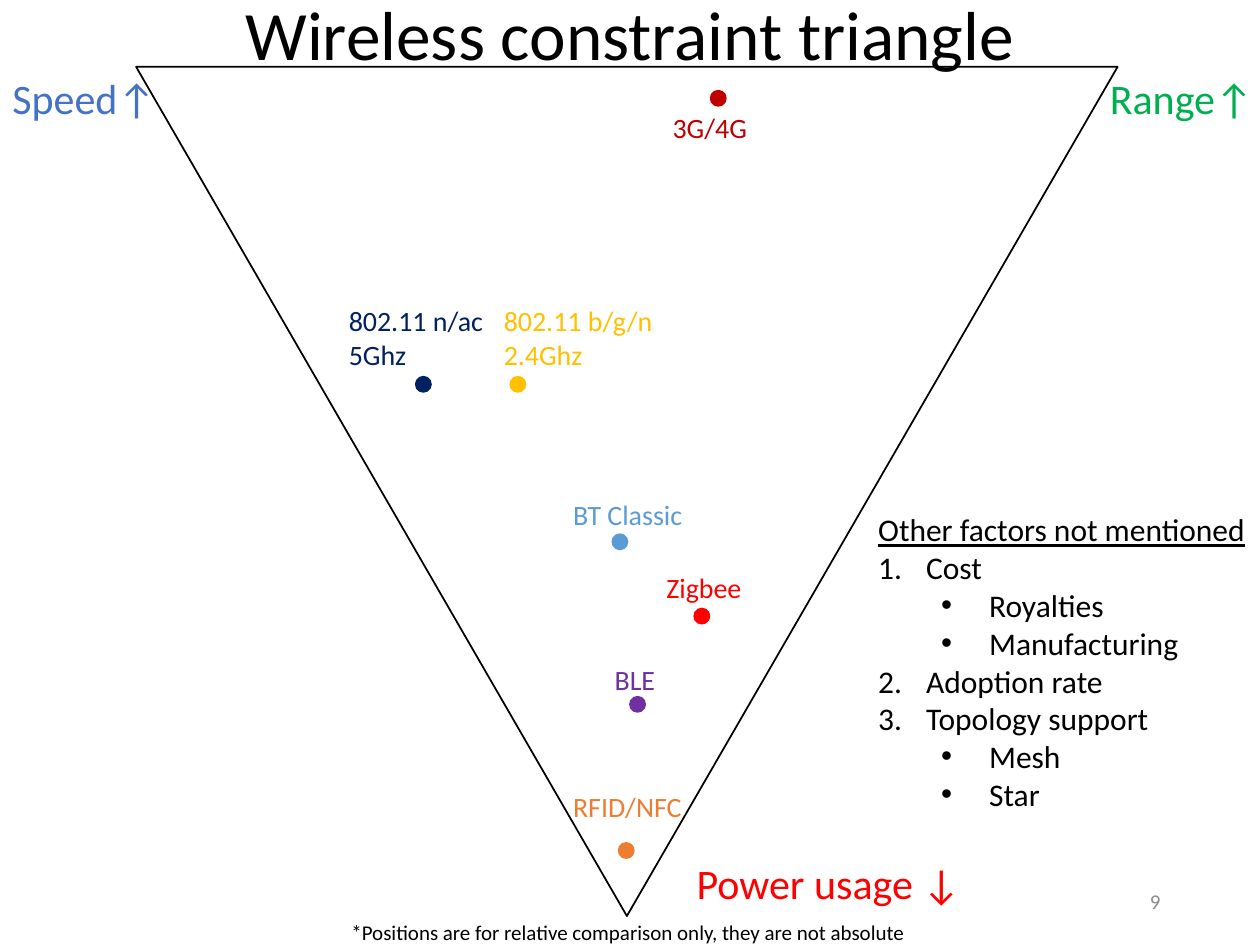
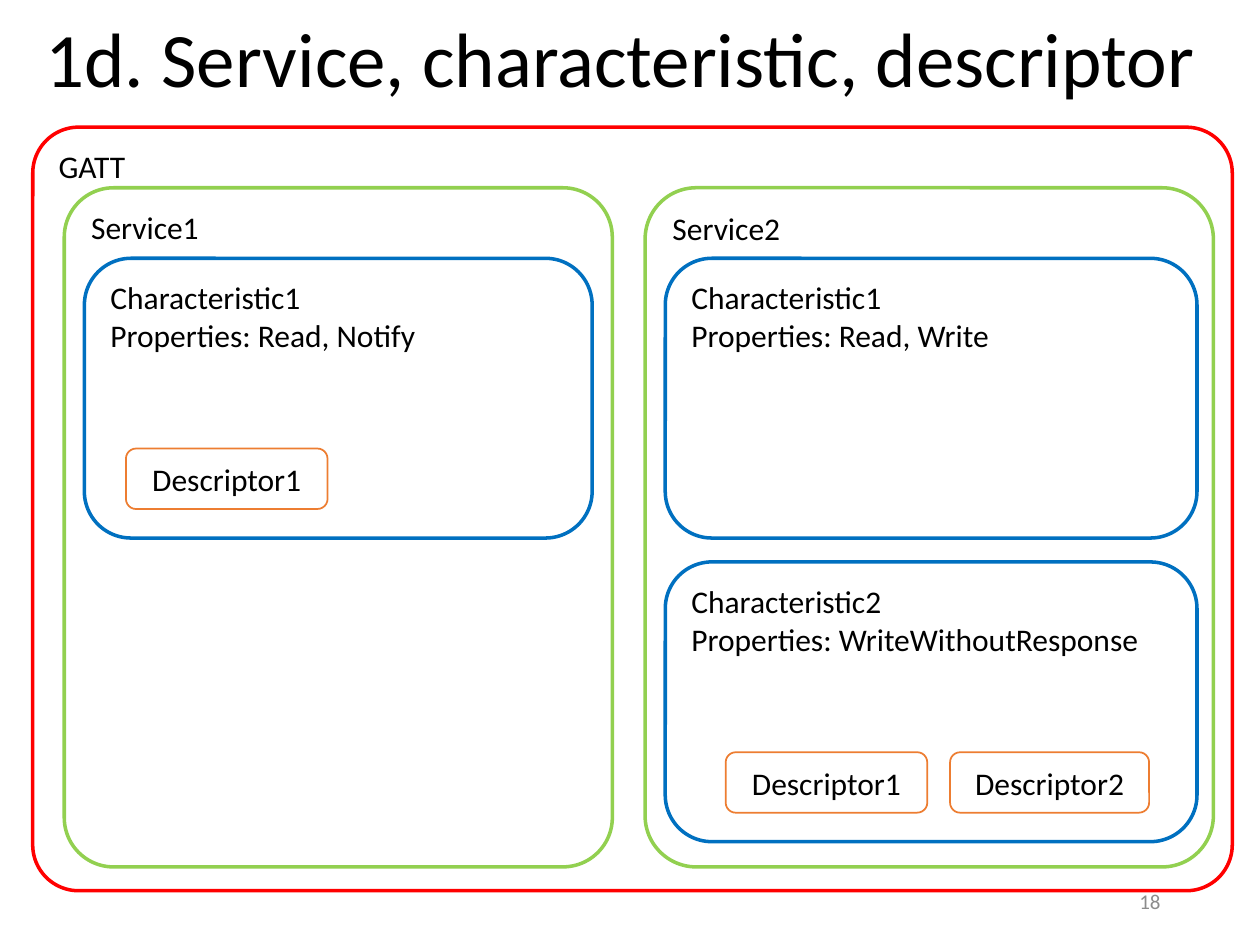
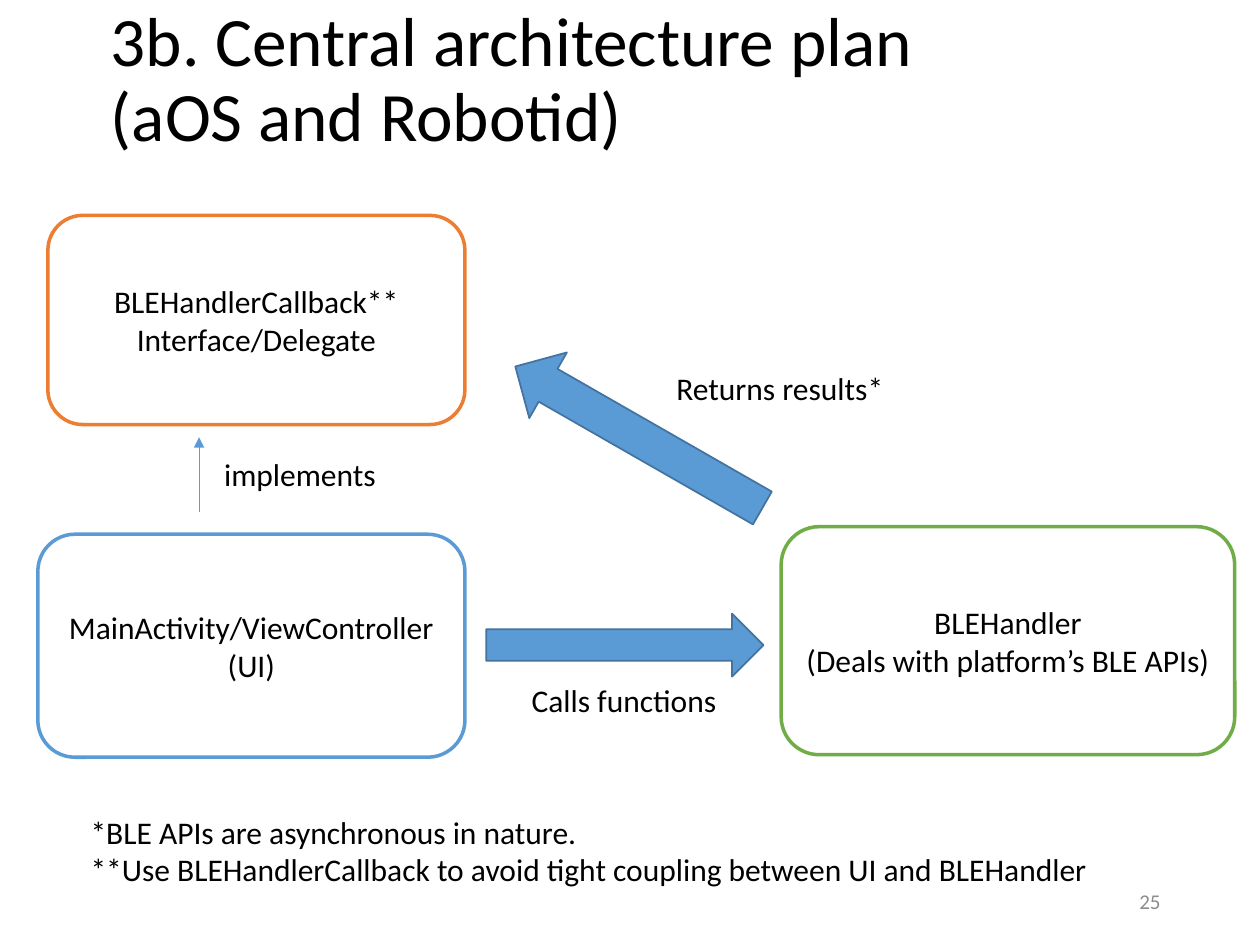
"""Build three slides on wireless trade-offs, GATT structure and a BLE app architecture."""
import lxml.etree
import pptx
import pptx.dml.color
import pptx.enum.shapes
import pptx.enum.text
import pptx.oxml
import pptx.oxml.ns
import pptx.util

RGBColor = pptx.dml.color.RGBColor
Shape = pptx.enum.shapes.MSO_SHAPE
Align = pptx.enum.text.PP_ALIGN
Anchor = pptx.enum.text.MSO_ANCHOR
AutoSize = pptx.enum.text.MSO_AUTO_SIZE
qn = pptx.oxml.ns.qn

BLACK = RGBColor(0x00, 0x00, 0x00)
WHITE = RGBColor(0xFF, 0xFF, 0xFF)
GREY = RGBColor(0x8C, 0x8C, 0x8C)
RED = RGBColor(0xFF, 0x00, 0x00)
DARK_RED = RGBColor(0xC0, 0x00, 0x00)
ORANGE = RGBColor(0xED, 0x7D, 0x31)
GOLD = RGBColor(0xFF, 0xC0, 0x00)
GREEN = RGBColor(0x00, 0xB0, 0x50)
LIME = RGBColor(0x92, 0xD0, 0x50)
LEAF = RGBColor(0x70, 0xAD, 0x47)
NAVY = RGBColor(0x00, 0x20, 0x60)
BLUE = RGBColor(0x00, 0x70, 0xC0)
INDIGO = RGBColor(0x44, 0x72, 0xC4)
SKY = RGBColor(0x5B, 0x9B, 0xD5)
STEEL = RGBColor(0x43, 0x73, 0x9E)
PURPLE = RGBColor(0x70, 0x30, 0xA0)

COLUMNS, ROWS = 100, 75
FONT = "Calibri"


def write(frame, lines, size=18, color=BLACK, align=Align.LEFT, anchor=Anchor.TOP,
          spacing=None, wrap=True, fit=AutoSize.NONE):
    """Fill a text frame with one paragraph per line."""
    frame.word_wrap = wrap
    frame.auto_size = fit
    frame.vertical_anchor = anchor
    for index, line in enumerate(lines):
        para = frame.add_paragraph() if index else frame.paragraphs[0]
        para.alignment = align
        if spacing:
            para.line_spacing = spacing
        span = para.add_run()
        span.text = line
        span.font.name = FONT
        span.font.size = pptx.util.Pt(size)
        span.font.color.rgb = color


class Deck:
    """Hold the presentation, its grid and the slide being built."""

    def __init__(self):
        """Open an empty 10 by 7.5 inch presentation."""
        self.file = pptx.Presentation()
        self.file.slide_width = pptx.util.Inches(10)
        self.file.slide_height = pptx.util.Inches(7.5)
        self.slide = None

    def place(self, left, top, width, height):
        """Turn grid columns and rows into slide lengths."""
        across = self.file.slide_width / COLUMNS
        down = self.file.slide_height / ROWS
        return [round(left * across), round(top * down), round(width * across), round(height * down)]

    def page(self, number, layout=5):
        """Start a slide and give it its page number."""
        self.slide = self.file.slides.add_slide(self.file.slide_layouts[layout])
        box = self.slide.shapes.add_textbox(*self.place(70.6, 69.5, 22.5, 4))
        write(box.text_frame, [number], size=12, color=GREY, align=Align.RIGHT, anchor=Anchor.MIDDLE)

    def move(self, holder, area):
        """Put a placeholder at a grid area."""
        holder.left, holder.top, holder.width, holder.height = self.place(*area)

    def title(self, lines, area, size=39.6, align=Align.LEFT):
        """Write the title in front of the elements drawn so far."""
        holder = self.slide.shapes.title
        self.move(holder, area)
        holder.element.getparent().append(holder.element)
        write(holder.text_frame, lines, size=size, align=align, anchor=Anchor.MIDDLE, spacing=0.9)

    def label(self, lines, area, **form):
        """Add text that keeps to its own lines."""
        box = self.slide.shapes.add_textbox(*self.place(*area))
        write(box.text_frame, lines, wrap=False, fit=AutoSize.SHAPE_TO_FIT_TEXT, **form)

    def shape(self, kind, area, line, width=1.0, fill=WHITE, turn=0, corner=None):
        """Add an outlined preset shape."""
        box = self.slide.shapes.add_shape(kind, *self.place(*area))
        box.shadow.inherit = False
        box.rotation = turn
        if fill is None:
            box.fill.background()
        else:
            box.fill.solid()
            box.fill.fore_color.rgb = fill
        box.line.color.rgb = line
        box.line.width = pptx.util.Pt(width)
        if corner is not None:
            box.adjustments[0] = corner
        return box

    def panel(self, lines, area, line, width=2, fill=WHITE, corner=None, centred=False):
        """Add a rounded box with text at its top or its middle."""
        box = self.shape(Shape.ROUNDED_RECTANGLE, area, line, width, fill, corner=corner)
        form = {"align": Align.CENTER, "anchor": Anchor.MIDDLE} if centred else {}
        write(box.text_frame, lines, **form)

    def outline(self, heading, items, area):
        """Write an underlined heading over a numbered list with bulleted sub-items."""
        holder = self.slide.placeholders[1]
        self.move(holder, area)
        lines = [heading] + [text for text, _ in items]
        levels = [None] + [level for _, level in items]
        write(holder.text_frame, lines, wrap=False, fit=AutoSize.SHAPE_TO_FIT_TEXT)
        holder.text_frame.paragraphs[0].runs[0].font.underline = True
        for para, level in zip(holder.text_frame.paragraphs, levels):
            para.space_before = pptx.util.Pt(0)
            para.level = level or 0
            properties = para._p.get_or_add_pPr()
            margin, hanging = (0, 0) if level is None else (0.38 + 0.5 * level, -0.38)
            properties.set("marL", str(pptx.util.Inches(margin)))
            properties.set("indent", str(pptx.util.Inches(hanging)))
            if level is None:
                lxml.etree.SubElement(properties, qn("a:buNone"))
            elif level == 0:
                lxml.etree.SubElement(properties, qn("a:buFont"), typeface="+mj-lt")
                lxml.etree.SubElement(properties, qn("a:buAutoNum"), type="arabicPeriod")
            else:
                lxml.etree.SubElement(properties, qn("a:buFont"), typeface="Arial")
                lxml.etree.SubElement(properties, qn("a:buChar"), char="•")

    def arrow(self, start, end, color, width):
        """Draw a thin line with a head at its end."""
        ends = self.place(*start, *end)
        line = self.slide.shapes.add_connector(pptx.enum.shapes.MSO_CONNECTOR.STRAIGHT, *ends)
        line.line.color.rgb = color
        line.line.width = pptx.util.Pt(width)
        lxml.etree.SubElement(line.line._get_or_add_ln(), qn("a:tailEnd"), type="triangle")
        lxml.etree.SubElement(line._element.spPr, qn("a:effectLst"))


def constraint_triangle(deck):
    """Place wireless technologies between speed, range and power usage."""
    deck.page("9", layout=1)
    deck.shape(Shape.ISOSCELES_TRIANGLE, (10.8, 5.3, 77.9, 67.4), BLACK, turn=180)
    deck.title(["Wireless constraint triangle"], (6.9, 0, 86.2, 6.1), align=Align.CENTER)
    corners = [
        ("Power usage ↓", (54.3, 67.6, 23.2, 5), RED),
        ("Range↑", (87.1, 5.3, 13.5, 5), GREEN),
        ("Speed↑", (0, 5.3, 13.5, 5), INDIGO),
    ]
    for text, area, color in corners:
        deck.label([text], area, size=24, color=color)
    deck.label(["*Positions are for relative comparison only, they are not absolute"],
               (26.9, 72.5, 47.1, 3), size=12)
    factors = [("Cost", 0), ("Royalties", 1), ("Manufacturing", 1), ("Adoption rate", 0),
               ("Topology support", 0), ("Mesh", 1), ("Star", 1)]
    deck.outline("Other factors not mentioned", factors, (68.7, 40, 31.5, 25.2))
    technologies = [
        (["802.11 n/ac", "5Ghz"], (26.7, 23.6, 12.8, 6.4), (33, 29.9), NAVY),
        (["802.11 b/g/n ", "2.4Ghz"], (39, 23.6, 14.5, 6.4), (40.5, 29.9), GOLD),
        (["BLE"], (47.8, 52.1, 5.3, 3.7), (50, 55.3), PURPLE),
        (["RFID/NFC"], (44.5, 62.2, 11.9, 3.7), (49.1, 66.9), ORANGE),
        (["3G/4G"], (52.4, 8.3, 8, 3.7), (56.4, 7.2), DARK_RED),
        (["BT Classic"], (44.5, 39, 10.8, 3.7), (48.6, 42.4), SKY),
        (["Zigbee"], (51.9, 44.8, 8.1, 3.7), (55.1, 48.3), RED),
    ]
    for lines, area, dot, color in technologies:
        deck.label(lines, area, size=16, color=color)
        deck.shape(Shape.OVAL, (*dot, 1.2, 1.2), color, fill=color)


def gatt_structure(deck):
    """Nest descriptors in characteristics, services and GATT."""
    deck.page("18")
    deck.title(["1d. Service, characteristic, descriptor"], (2.6, 0.5, 95.2, 9), size=44)
    deck.panel(["GATT"], (2.6, 10.1, 95.2, 60.6), RED, fill=None, corner=0.06)
    for name, left, width in [("Service1", 5.1, 43.5), ("Service2", 51.2, 45.1)]:
        deck.panel([name], (left, 14.9, width, 53.9), LIME, fill=None, corner=0.09)
    characteristics = [
        ("Characteristic1", "Read, Notify", (6.7, 20.5, 40.3), [(10, 16)]),
        ("Characteristic1", "Read, Write", (52.8, 20.5, 42.2), []),
        ("Characteristic2", "WriteWithoutResponse", (52.8, 44.6, 42.2), [(57.6, 16), (75.4, 15.8)]),
    ]
    for name, access, (left, top, width), descriptors in characteristics:
        deck.panel([name, f"Properties: {access}"], (left, top, width, 22.2), BLUE)
        for number, (start, span) in enumerate(descriptors, 1):
            deck.panel([f"Descriptor{number}"], (start, top + 15.1, span, 4.8), ORANGE,
                       width=1, centred=True)


def central_architecture(deck):
    """Show how the UI, the handler and its callback work together."""
    deck.page("25")
    deck.title(["3b. Central architecture plan ", "(aOS and Robotid)"], (7.8, 1, 87.4, 10.9))
    parts = [
        (["MainActivity/ViewController", "(UI)"], (3, 42.4, 33.9, 17.7), SKY),
        (["BLEHandler", "(Deals with platform’s BLE APIs)"], (62, 41.8, 36, 18.1), LEAF),
        (["BLEHandlerCallback** Interface/Delegate"], (3.8, 17.1, 33.1, 16.6), ORANGE),
    ]
    for lines, area, color in parts:
        deck.panel(lines, area, color, centred=True)
    deck.shape(Shape.RIGHT_ARROW, (38.6, 48.7, 22, 5), STEEL, fill=SKY)
    deck.shape(Shape.DOWN_ARROW, (47.7, 23.4, 6, 22.6), STEEL, fill=SKY, turn=119.8)
    deck.arrow((15.8, 40.6), (15.8, 34.7), SKY, 0.5)
    deck.label(["Calls functions"], (41.2, 53.6, 16.9, 4))
    deck.label(["Returns results*"], (52.7, 28.8, 18.6, 4))
    deck.label(["implements"], (16.8, 35.6, 14.2, 4))
    deck.label(["*BLE APIs are asynchronous in nature. ",
                "**Use BLEHandlerCallback to avoid tight coupling between UI and BLEHandler"],
               (6.2, 64, 81.5, 10.1))


deck = Deck()
constraint_triangle(deck)
gatt_structure(deck)
central_architecture(deck)
deck.file.save("out.pptx")
